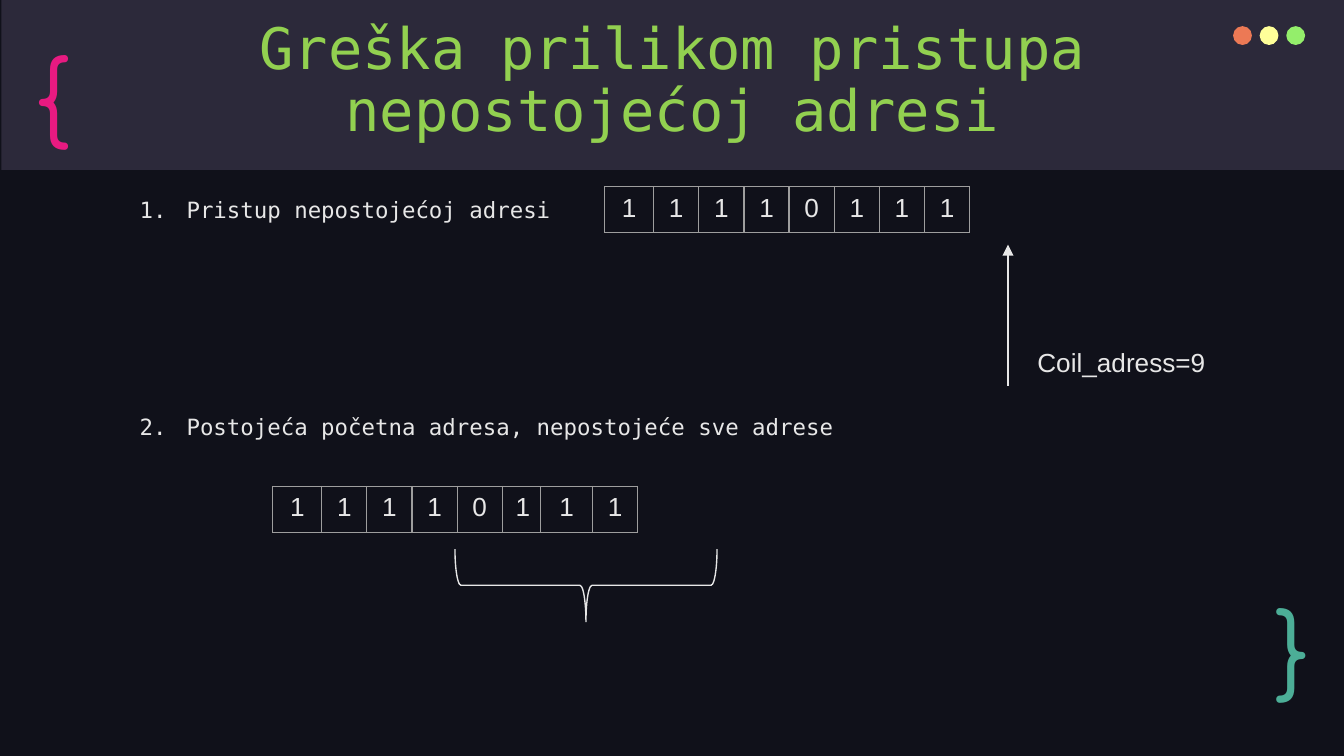
import dataclasses

import lxml.etree
import pptx
import pptx.dml.color
import pptx.enum.shapes
import pptx.enum.text
import pptx.oxml
import pptx.oxml.ns
import pptx.util

SHAPE = pptx.enum.shapes.MSO_SHAPE
ALIGN = pptx.enum.text.PP_ALIGN
ANCHOR = pptx.enum.text.MSO_ANCHOR
qn = pptx.oxml.ns.qn

SLIDE_WIDTH = pptx.util.Inches(10)
SLIDE_HEIGHT = pptx.util.Inches(5.625)
GRID_COLUMNS = 100  # square grid: rows have the same size as columns


@dataclasses.dataclass(frozen=True)
class Theme:
    background: str = "10111A"
    band: str = "2C293A"
    text: str = "E7E7E7"
    title: str = "92D050"
    border: str = "9E9E9E"
    dots: tuple = ("EC7955", "FFFF99", "94EE6B")
    opening: str = "E81A81"
    closing: str = "4CAE97"
    code_font: str = "DejaVu Sans Mono"
    plain_font: str = "Arial"
    brace_font: str = "Comfortaa"
    title_size: float = 30.6
    list_size: float = 12
    value_size: float = 14
    brace_size: float = 50
    line_width: float = 0.75


THEME = Theme()


def grid(*cells):
    """Turn grid columns or rows into lengths."""
    return [round(cell * SLIDE_WIDTH / GRID_COLUMNS) for cell in cells]


def rgb(value):
    return pptx.dml.color.RGBColor.from_string(value)


def apply_format(target, values):
    for name, value in values.items():
        setattr(target, name, value)


def write(paragraph, text, font, size, color, **paragraph_format):
    apply_format(paragraph, paragraph_format)
    run = paragraph.add_run()
    run.text = text
    apply_format(run.font, {"name": font, "size": pptx.util.Pt(size)})
    run.font.color.rgb = rgb(color)


def set_line(line, color):
    line.color.rgb = rgb(color)
    line.width = pptx.util.Pt(THEME.line_width)


def add_filled_shape(slide, kind, box, color):
    shape = slide.shapes.add_shape(kind, *grid(*box))
    shape.shadow.inherit = False
    shape.fill.solid()
    shape.fill.fore_color.rgb = rgb(color)
    shape.line.fill.background()


def add_text_box(slide, box, inset=1, wrap=True, anchor=ANCHOR.TOP):
    frame = slide.shapes.add_textbox(*grid(*box)).text_frame
    margin = grid(inset)[0]
    apply_format(frame, {"word_wrap": wrap, "vertical_anchor": anchor,
                         "margin_top": margin, "margin_bottom": margin})
    return frame


def add_title(slide, text):
    title = slide.shapes.title
    left, top, width, height = grid(7.9, 4.9, 84.2, 6.3)
    apply_format(title, {"left": left, "top": top, "width": width, "height": height})
    apply_format(title.text_frame, {"word_wrap": True, "vertical_anchor": ANCHOR.BOTTOM,
                                    "auto_size": pptx.enum.text.MSO_AUTO_SIZE.NONE})
    write(title.text_frame.paragraphs[0], text, THEME.code_font, THEME.title_size,
          THEME.title, alignment=ALIGN.CENTER, line_spacing=0.9)
    # Bring the title in front of the header band
    title.element.getparent().append(title.element)


def add_numbered_list(slide, box, items, gap):
    frame = add_text_box(slide, box)
    for index, item in enumerate(items):
        paragraph = frame.paragraphs[0] if index == 0 else frame.add_paragraph()
        write(paragraph, item, THEME.code_font, THEME.list_size, THEME.text,
              line_spacing=1.15, space_before=pptx.util.Pt(gap if index else 0))
        properties = paragraph._p.get_or_add_pPr()
        margin, indent = grid(5, -3.5)
        properties.set("marL", str(margin))
        properties.set("indent", str(indent))
        color = lxml.etree.SubElement(properties, qn("a:buClr"))
        lxml.etree.SubElement(color, qn("a:srgbClr"), val=THEME.text)
        lxml.etree.SubElement(properties, qn("a:buFont"), typeface=THEME.code_font)
        lxml.etree.SubElement(properties, qn("a:buAutoNum"), type="arabicPeriod")


def set_cell_borders(cell):
    properties = cell._tc.get_or_add_tcPr()
    for side in ("a:lnL", "a:lnR", "a:lnT", "a:lnB"):
        line = lxml.etree.SubElement(properties, qn(side),
                                     w=str(pptx.util.Pt(THEME.line_width)))
        fill = lxml.etree.SubElement(line, qn("a:solidFill"))
        lxml.etree.SubElement(fill, qn("a:srgbClr"), val=THEME.border)


def add_bit_table(slide, left, top, bits, widths):
    height = 3.4
    table = slide.shapes.add_table(
        1, len(bits), *grid(left, top, sum(widths), height)).table
    apply_format(table, {"first_row": False, "horz_banding": False})
    for column, width, cell, bit in zip(table.columns, grid(*widths),
                                        table.rows[0].cells, bits):
        column.width = width
        set_cell_borders(cell)
        cell.fill.background()
        write(cell.text_frame.paragraphs[0], bit, THEME.plain_font,
              THEME.value_size, THEME.text, alignment=ALIGN.CENTER)


def add_arrow(slide, start, end):
    arrow = slide.shapes.add_connector(
        pptx.enum.shapes.MSO_CONNECTOR.STRAIGHT, *grid(*start, *end))
    set_line(arrow.line, THEME.text)
    lxml.etree.SubElement(arrow.line._get_or_add_ln(), qn("a:tailEnd"), type="triangle")
    lxml.etree.SubElement(arrow._element.spPr, qn("a:effectLst"))


def add_range_brace(slide, box):
    brace = slide.shapes.add_shape(SHAPE.LEFT_BRACE, *grid(*box))
    brace.shadow.inherit = False
    brace.rotation = 270
    brace.fill.background()
    set_line(brace.line, THEME.text)


def add_corner_brace(slide, box, text, color, anchor):
    frame = add_text_box(slide, box, anchor=anchor)
    write(frame.paragraphs[0], text, THEME.brace_font, THEME.brace_size, color)


def main():
    presentation = pptx.Presentation()
    apply_format(presentation, {"slide_width": SLIDE_WIDTH, "slide_height": SLIDE_HEIGHT})
    slide = presentation.slides.add_slide(presentation.slide_layouts[5])
    slide.background.fill.solid()
    slide.background.fill.fore_color.rgb = rgb(THEME.background)

    # Header band with window dots and title
    add_filled_shape(slide, SHAPE.RECTANGLE, (0.1, 0, 99.9, 12.65), THEME.band)
    for index, color in enumerate(THEME.dots):
        add_filled_shape(slide, SHAPE.OVAL, (91.75 + 1.98 * index, 1.95, 1.4, 1.4), color)
    add_title(slide, "Greška prilikom pristupa nepostojećoj adresi")

    # The two error cases
    add_numbered_list(slide, (7.9, 13.3, 84.3, 30.8),
                      ["Pristup nepostojećoj adresi",
                       "Postojeća početna adresa, nepostojeće sve adrese"], gap=99.5)

    # Case 1: address past the end
    bits = "11110111"
    first, regular = 3.64, 3.36
    add_bit_table(slide, 45, 13.9, bits, [first] + [regular] * 7)
    add_arrow(slide, (75, 28.7), (75, 18.2))
    label = add_text_box(slide, (76.2, 25.3, 14.6, 3.4), inset=0.5, wrap=False)
    write(label.paragraphs[0], "Coil_adress=9", THEME.plain_font,
          THEME.value_size, THEME.text)

    # Case 2: range running past the end
    add_bit_table(slide, 20.3, 36.2, bits,
                  [first] + [regular] * 4 + [regular - 0.5, regular + 0.5, regular])
    add_range_brace(slide, (40.9, 33.8, 5.4, 19.5))

    # Decorative corner braces
    add_corner_brace(slide, (1.6, 1.6, 7.7, 9.5), "{", THEME.opening, ANCHOR.TOP)
    add_corner_brace(slide, (93.9, 43.8, 5.7, 8.3), "}", THEME.closing, ANCHOR.MIDDLE)

    presentation.save("out.pptx")


if __name__ == "__main__":
    main()
